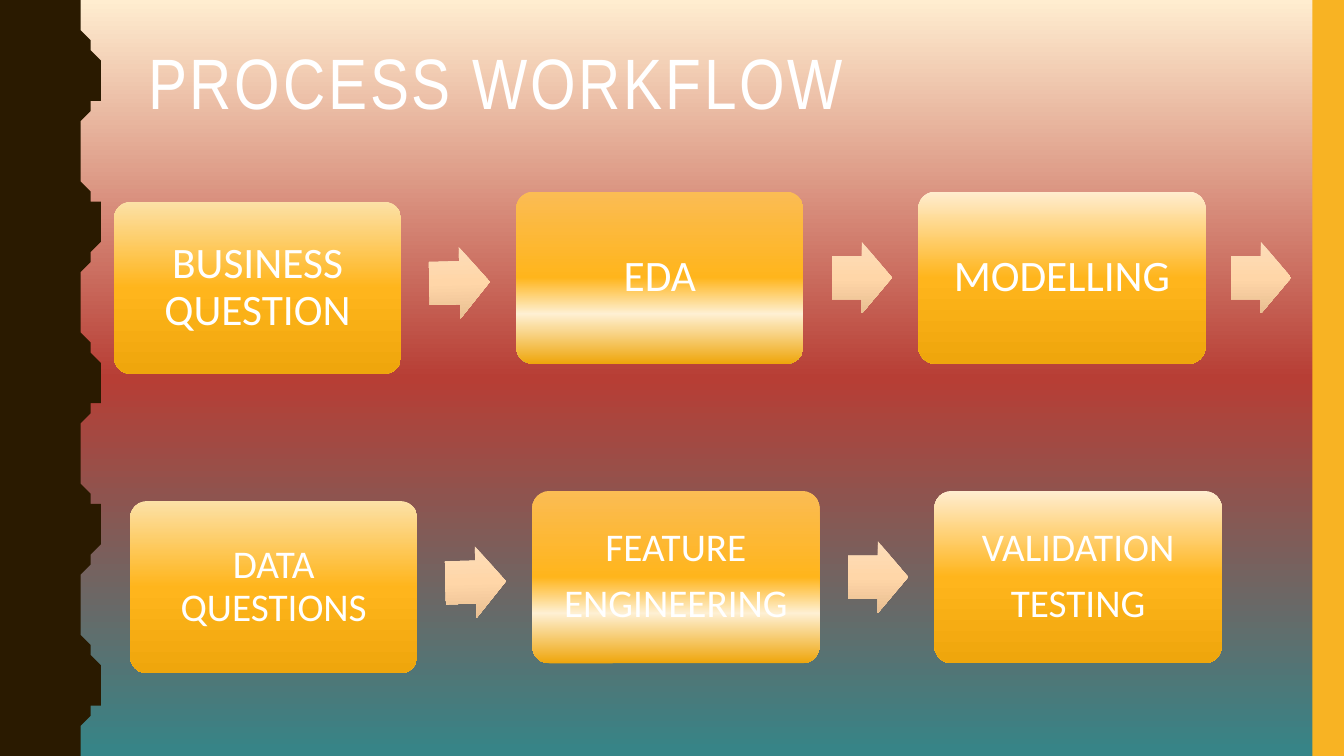
from dataclasses import dataclass
from itertools import product
from lxml.etree import SubElement
from pptx import Presentation
from pptx.dml.color import RGBColor
from pptx.enum.shapes import MSO_SHAPE
from pptx.enum.text import MSO_ANCHOR, MSO_AUTO_SIZE, PP_ALIGN
from pptx.oxml.ns import qn
from pptx.util import Inches, Pt

# The grid has ten cells to the inch, counted as columns and rows.
CELL = Inches(0.1)
COLUMNS, ROWS = 133.33, 75
WHITE, BROWN, AMBER = "FFFFFF", "2A1A00", "F8B323"
BACKDROP = {0: "FFEDD0", 50: "B73E35", 100: "358588"}
ARROW_STOPS = {0: "FCDDBA", 50: "FFD6A8", 100: "E8BE91"}


def colour(hex_code):
    """Turn a hex string into a colour."""
    return RGBColor.from_string(hex_code)


def cells(*counts):
    """Turn counts of grid cells into lengths."""
    return [round(count * CELL) for count in counts]


def set_formats(target, values):
    """Set each attribute of the target from a dict."""
    for attribute, value in values.items():
        setattr(target, attribute, value)


def set_gradient(fill, element, stops):
    """Fill from top to bottom with {percent: hex} stops."""
    fill.gradient()
    fill.gradient_angle = 270
    stop_list = element.find(".//" + qn("a:gsLst"))
    for old_stop in list(stop_list):
        stop_list.remove(old_stop)
    for percent, hex_code in stops.items():
        stop = SubElement(stop_list, qn("a:gs"), pos=str(percent * 1000))
        SubElement(stop, qn("a:srgbClr"), val=hex_code)


@dataclass
class WorkflowSlide:
    """The current slide with the style of its elements."""

    slide: object
    heading_font: str = "Arial Narrow"
    label_font: str = "Calibri"
    box_width: float = 28.5
    box_height: float = 17.1

    def backdrop(self, stops):
        """Give the slide a gradient background."""
        set_gradient(self.slide.background.fill, self.slide.element, stops)

    def finish(self, shape, fill):
        """Fill with one hex colour or gradient stops; drop line and shadow."""
        shape.shadow.inherit = False
        shape.line.fill.background()
        if isinstance(fill, dict):
            set_gradient(shape.fill, shape.element, fill)
        else:
            shape.fill.solid()
            shape.fill.fore_color.rgb = colour(fill)

    def preset(self, kind, left, top, width, height, fill):
        """Add a preset shape on the grid."""
        shape = self.slide.shapes.add_shape(kind, *cells(left, top, width, height))
        self.finish(shape, fill)
        return shape

    def outline(self, points, fill):
        """Add a closed outline through grid points."""
        builder = self.slide.shapes.build_freeform(*points[0], scale=CELL)
        builder.add_line_segments(points[1:], close=True)
        self.finish(builder.convert_to_shape(), fill)

    def lettering(self, frame, lines, font, paragraph):
        """Set one paragraph per line with the given formats."""
        frame.text = "\n".join(lines)
        for line in frame.paragraphs:
            set_formats(line, paragraph)
            set_formats(line.runs[0].font, font)
            line.runs[0].font.color.rgb = colour(WHITE)

    def title(self, wording, left, top, width, height):
        """Place and format the title placeholder."""
        heading = self.slide.shapes.title
        set_formats(heading, dict(zip(("left", "top", "width", "height"),
                                      cells(left, top, width, height))))
        set_formats(heading.text_frame, {"word_wrap": True,
                                         "auto_size": MSO_AUTO_SIZE.NONE,
                                         "vertical_anchor": MSO_ANCHOR.TOP})
        self.lettering(heading.text_frame, [wording],
                       {"size": Pt(51), "name": self.heading_font},
                       {"alignment": PP_ALIGN.LEFT, "line_spacing": 0.9})
        heading.element.find(".//" + qn("a:rPr")).set("spc", "200")

    def step(self, lines, left, top, size, inset, stops):
        """Add a rounded box with its label."""
        box = self.preset(MSO_SHAPE.ROUNDED_RECTANGLE, left, top,
                          self.box_width, self.box_height, stops)
        box.adjustments[0] = 0.1
        margins = dict.fromkeys(("margin_left", "margin_right",
                                 "margin_top", "margin_bottom"), Inches(inset))
        set_formats(box.text_frame, {"word_wrap": True,
                                     "vertical_anchor": MSO_ANCHOR.MIDDLE, **margins})
        self.lettering(box.text_frame, lines,
                       {"size": Pt(size), "name": self.label_font},
                       {"alignment": PP_ALIGN.CENTER, "line_spacing": 0.9,
                        "space_after": Pt(size * 0.35)})

    def arrow(self, left, top, tilt):
        """Add an arrow that leads to the next step."""
        pointer = self.preset(MSO_SHAPE.RIGHT_ARROW, left, top, 6, 7.1, ARROW_STOPS)
        pointer.adjustments[0] = 0.6
        pointer.rotation = tilt


def wavy_edge():
    """Return the points of the side band, with five equal waves."""
    rise = [(7.8, 0), (7.8, 0.7), (7.9, 1.4), (8, 2), (8.1, 2.5),
            (8.3, 2.9), (8.5, 3.3), (8.7, 3.75)]
    crest = rise + [(17.5 - x, 7.5 - y) for x, y in reversed(rise[:-1])]
    wave = crest + [(x, 15 - y) for x, y in reversed(crest[:-1])]
    edge = [(x, y + 15 * turn) for turn, (x, y) in product(range(5), wave)]
    return [(0, 0), *edge, (0, ROWS)]


# Each column of steps: drop, arrow tilt, gap to its arrow, gradient.
STEP_COLUMNS = [
    (1, 358.5, 31.3, {0: "FCE1A7", 50: "FFB51C", 100: "EFA60C"}),
    (0, 0, 31.3, {0: "FBBC54", 50: "FFB51C", 71: "FEF0D3", 100: "EFA60C"}),
    (0, 0, 31, {0: "FFEDD0", 50: "FFB51C", 100: "EFA60C"}),
]
# Each row of steps: left, top, text size, inset, arrows, labels.
STEP_ROWS = [
    (11.3, 19, 31, 0.13, 3, [["BUSINESS QUESTION"], ["EDA"], ["MODELLING"]]),
    (12.9, 48.7, 28, 0.12, 2, [["DATA QUESTIONS"], ["FEATURE", "ENGINEERING"],
                               ["VALIDATION", "TESTING"]]),
]
COLUMN_PITCH = 39.9

deck = Presentation()
deck.slide_width, deck.slide_height = cells(COLUMNS, ROWS)
workflow = WorkflowSlide(deck.slides.add_slide(deck.slide_layouts[5]))
workflow.backdrop(BACKDROP)
workflow.outline(wavy_edge(), BROWN)
workflow.preset(MSO_SHAPE.RECTANGLE, 130.2, 0, COLUMNS - 130.2, ROWS, AMBER)
workflow.title("PROCESS WORKFLOW", 13.7, 4.2, 111.3, 16.3)

for row_left, row_top, size, inset, arrows, labels in STEP_ROWS:
    for column, (lines, look) in enumerate(zip(labels, STEP_COLUMNS)):
        drop, tilt, gap, stops = look
        left = row_left + column * COLUMN_PITCH
        workflow.step(lines, left, row_top + drop, size, inset, stops)
        if column < arrows:
            workflow.arrow(left + gap, row_top + 5 + drop / 2, tilt)

deck.save("out.pptx")
